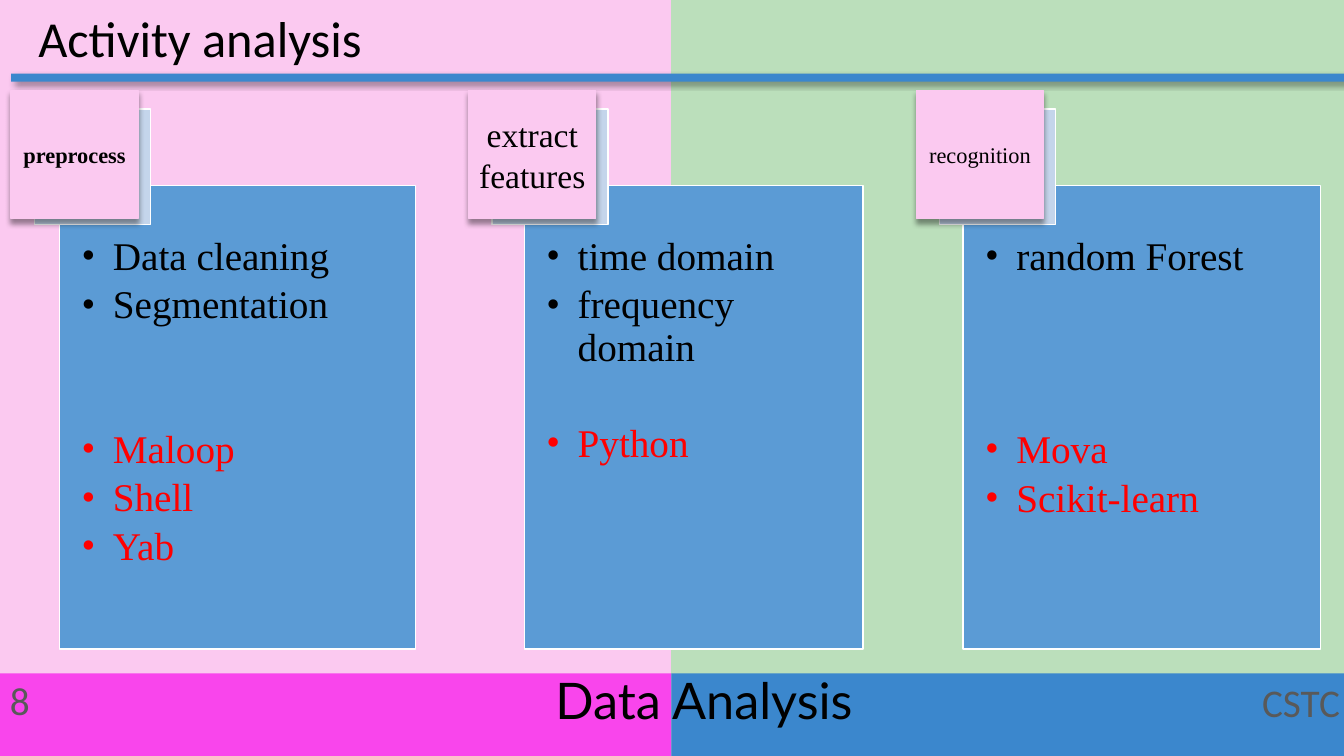
from lxml import etree
from pptx import Presentation
from pptx.dml.color import RGBColor
from pptx.enum.shapes import MSO_SHAPE
from pptx.enum.text import MSO_ANCHOR as Anchor, MSO_AUTO_SIZE as AutoSize, PP_ALIGN as Align
from pptx.oxml.ns import qn
from pptx.util import Inches, Pt

PINK = RGBColor(0xFB, 0xC9, 0xF0)
GREEN = RGBColor(0xBB, 0xDF, 0xBB)
MINT = RGBColor(0xC7, 0xED, 0xCC)
MAGENTA = RGBColor(0xF9, 0x45, 0xEC)
BLUE = RGBColor(0x3B, 0x87, 0xCD)
CARD_BLUE = RGBColor(0x5B, 0x9B, 0xD5)
PALE_BLUE = RGBColor(0xC4, 0xD5, 0xEB)
WHITE = RGBColor(0xFF, 0xFF, 0xFF)
BLACK = RGBColor(0, 0, 0)
RED = RGBColor(0xFF, 0, 0)
GREY = RGBColor(0x59, 0x59, 0x59)
SERIF = "Times New Roman"
SANS = "Calibri"

HEADING = "Activity analysis"
PANELS = [
    ((-0.11, -0.08, 6.77, 7.58), PINK, None),
    ((6.66, -0.08, 6.79, 7.58), GREEN, GREEN),
    ((0, 6.68, 6.66, 0.82), MAGENTA, None),
    ((6.66, 6.68, 6.79, 0.82), BLUE, None),
]
FOOTERS = [
    ("Data Analysis", (5.41, 6.59, 4.51, 0.71), 36, "Lato", BLACK),
    ("8", (0, 6.66, 2.27, 0.57), 28, SANS, GREY),
    ("CSTC", (12.42, 6.68, 2.27, 0.57), 28, SANS, GREY),
]
STAGES = [
    {"label": ["preprocess"], "size": 16, "bold": True, "tile_left": 0.11,
     "card_left": 0.59, "card_width": 3.53, "gap_lines": 2,
     "tasks": ["Data cleaning", "Segmentation"], "tools": ["Maloop", "Shell", "Yab"]},
    {"label": ["extract", "features"], "size": 24, "bold": False, "tile_left": 4.65,
     "card_left": 5.2, "card_width": 3.36, "gap_lines": 1,
     "tasks": ["time domain", "frequency domain"], "tools": ["Python"]},
    {"label": ["recognition"], "size": 16, "bold": False, "tile_left": 9.09,
     "card_left": 9.55, "card_width": 3.55, "gap_lines": 3,
     "tasks": ["random Forest"], "tools": ["Mova", "Scikit-learn"]},
]
CARD_TOP, CARD_HEIGHT = 1.84, 4.6
TILE_TOP, TILE_WIDTH, TILE_HEIGHT = 0.9, 1.26, 1.27
BACKING_SHIFT, BACKING_TOP, BACKING_SIDE = 0.23, 1.08, 1.15
GAP_LINE = 34.5


def write(frame, lines, *, size, font=SANS, color=BLACK, bold=False, align=Align.LEFT,
          anchor=Anchor.TOP, insets=(0.1, 0.05, 0.1, 0.05)):
    frame.word_wrap = True
    frame.auto_size = AutoSize.NONE
    frame.vertical_anchor = anchor
    (frame.margin_left, frame.margin_top,
     frame.margin_right, frame.margin_bottom) = map(Inches, insets)
    frame.text = "\n".join(lines)
    for paragraph in frame.paragraphs:
        paragraph.alignment = align
        for run in paragraph.runs:
            run.font.size = Pt(size)
            run.font.name = font
            run.font.bold = bold
            run.font.color.rgb = color


def add_rect(slide, box, fill, line=None):
    rect = slide.shapes.add_shape(MSO_SHAPE.RECTANGLE, *map(Inches, box))
    rect.shadow.inherit = False
    rect.fill.solid()
    rect.fill.fore_color.rgb = fill
    if line is None:
        rect.line.fill.background()
    else:
        rect.line.color.rgb = line
        rect.line.width = Pt(1)
    return rect


def cast_shadow(shape, degrees):
    effects = shape.element.spPr.find(qn("a:effectLst"))
    shadow = etree.SubElement(effects, qn("a:outerShdw"), blurRad=str(Pt(4)), dist=str(Pt(3)),
                              dir=str(degrees * 60000), algn="t", rotWithShape="0")
    tint = etree.SubElement(shadow, qn("a:srgbClr"), val="000000")
    etree.SubElement(tint, qn("a:alpha"), val="40000")


def add_bullet(paragraph):
    properties = paragraph._p.get_or_add_pPr()
    properties.set("marL", str(Inches(0.31)))
    properties.set("indent", str(Inches(-0.31)))
    etree.SubElement(properties, qn("a:buFont"), typeface=SERIF)
    etree.SubElement(properties, qn("a:buChar"), char="•")


def add_stage(slide, stage):
    card = add_rect(slide, (stage["card_left"], CARD_TOP, stage["card_width"], CARD_HEIGHT),
                    CARD_BLUE, WHITE)
    write(card.text_frame, stage["tasks"] + stage["tools"], size=28, font=SERIF,
          align=Align.JUSTIFY, insets=(0.22, 0.51, 0.22, 0.22))
    first_tool = len(stage["tasks"])
    for index, paragraph in enumerate(card.text_frame.paragraphs):
        paragraph.line_spacing = 0.9
        paragraph.space_after = Pt(4.2)
        if index == first_tool:
            paragraph.space_before = Pt(GAP_LINE * stage["gap_lines"])
        if index >= first_tool:
            paragraph.runs[0].font.color.rgb = RED
        add_bullet(paragraph)

    add_rect(slide, (stage["tile_left"] + BACKING_SHIFT, BACKING_TOP, BACKING_SIDE, BACKING_SIDE),
             PALE_BLUE, WHITE)
    tile = add_rect(slide, (stage["tile_left"], TILE_TOP, TILE_WIDTH, TILE_HEIGHT), PINK, PINK)
    cast_shadow(tile, 90)
    write(tile.text_frame, stage["label"], size=stage["size"], font=SERIF, bold=stage["bold"],
          align=Align.CENTER, anchor=Anchor.MIDDLE, insets=(0.05, 0.05, 0.05, 0.05))


def main():
    deck = Presentation()
    deck.slide_width, deck.slide_height = Inches(13.33), Inches(7.5)
    slide = deck.slides.add_slide(deck.slide_layouts[5])
    slide.background.fill.solid()
    slide.background.fill.fore_color.rgb = MINT

    for box, fill, line in PANELS:
        add_rect(slide, box, fill, line)
    for text, box, size, font, color in FOOTERS:
        footer = slide.shapes.add_textbox(*map(Inches, box))
        write(footer.text_frame, [text], size=size, font=font, color=color)

    rule = add_rect(slide, (0.11, 0.73, 13.33, 0.08), BLUE)
    cast_shadow(rule, 45)

    title = slide.shapes.title
    title.left, title.top, title.width, title.height = map(Inches, (0.28, 0.02, 4.17, 0.71))
    write(title.text_frame, [HEADING], size=36)
    title.element.getparent().append(title.element)

    for stage in STAGES:
        add_stage(slide, stage)
    deck.save("out.pptx")


if __name__ == "__main__":
    main()
